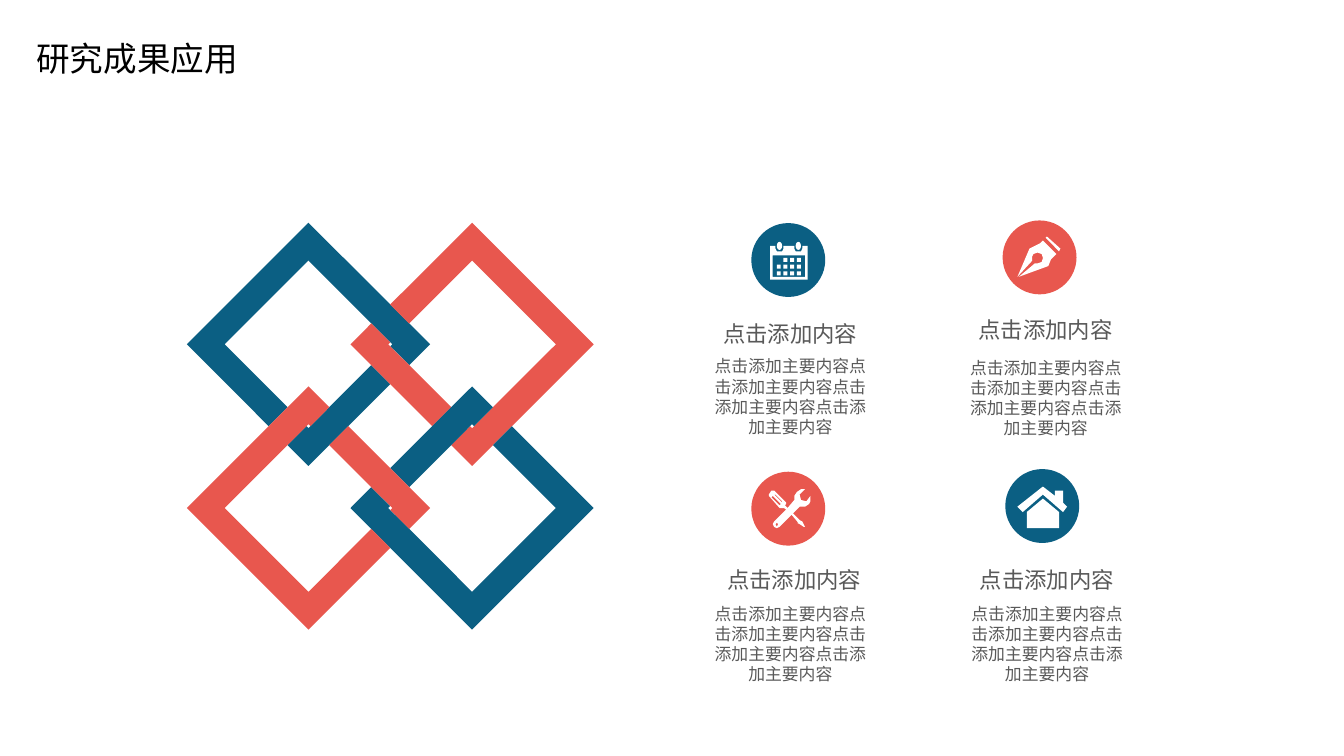
import pptx
import pptx.util
from lxml import etree
from pptx.dml.color import RGBColor
from pptx.enum.shapes import MSO_SHAPE
from pptx.enum.text import MSO_ANCHOR, MSO_AUTO_SIZE, PP_ALIGN
from pptx.oxml.ns import qn

PX = 9144  # EMU in one px, 100 px to the inch
FONT = "Noto Sans CJK SC"
BLUE, RED, WHITE, GREY, BLACK = "0B5F83", "E8574E", "FFFFFF", "595959", "000000"
HEADING = "点击添加内容"
BODY = "点击添加主要内容" * 4

# One ring around its own centre, in tenths of a px,
# cut where its neighbours pass over it
RING = [
    [(905, 0), (750, 155), (609, 15), (624, 0), (609, -15), (468, -155),
     (0, -624), (-624, 0), (-155, 468), (-296, 609), (-905, 0), (0, -905),
     (609, -296), (750, -155)],
    [(155, 468), (15, 609), (0, 624), (-15, 609), (-155, 750), (0, 905),
     (155, 750), (296, 609), (609, 296), (468, 155)],
]
CALENDAR = [
    [(573, 183), (577, 183), (577, 185), (578, 187), (580, 187), (582, 187),
     (583, 185), (583, 183), (591, 183), (591, 185), (592, 187), (594, 187),
     (596, 187), (597, 185), (597, 183), (601, 183), (601, 208), (573, 208)],
    [(575, 190), (575, 206), (599, 206), (599, 190)],
]
NIB = [
    [(782, 185), (776, 179), (774, 181), (770, 183), (766, 185), (757, 206),
     (768, 194), (768, 191), (769, 189), (772, 188), (775, 189), (776, 192),
     (775, 195), (772, 196), (770, 196), (758, 206), (780, 198), (782, 193),
     (784, 191), (786, 189)],
]
NIB_COLLAR = [[(779, 176), (789, 185), (788, 187), (778, 177)]]
TOOLS = [
    [(572, 368), (574, 365), (576, 365), (577, 366), (585, 374), (585, 375),
     (584, 376), (586, 378), (591, 372), (591, 369), (593, 366), (596, 364),
     (599, 364), (595, 368), (596, 372), (600, 373), (603, 369), (603, 373),
     (602, 375), (599, 377), (595, 377), (590, 382), (595, 387), (597, 388),
     (599, 392), (598, 392), (595, 390), (593, 389), (594, 389), (589, 383),
     (580, 392), (578, 393), (576, 392), (575, 390), (576, 388), (585, 379),
     (583, 378), (582, 378), (580, 378), (573, 370), (572, 369)],
    [(578, 389), (577, 390), (578, 392), (579, 390)],
    [(582, 374), (582, 373), (577, 368), (576, 368)],
    [(580, 376), (581, 375), (575, 369), (574, 370)],
]
HOUSE = [[(764, 381), (764, 393), (788, 393), (788, 381), (776, 371)]]
ROOF = [
    [(791, 374), (791, 365), (785, 365), (785, 369), (776, 362), (757, 377),
     (761, 381), (776, 368), (791, 381), (794, 377)],
]


def px(n):
    return pptx.util.Emu(n * PX)


def rgb(colour):
    return RGBColor.from_string(colour)


def paint(sp, colour):
    sp.shadow.inherit = False
    sp.fill.solid()
    sp.fill.fore_color.rgb = rgb(colour)
    sp.line.fill.background()


def add_preset(shapes, kind, x, y, w, h, colour):
    sp = shapes.add_shape(kind, px(x), px(y), px(w), px(h))
    paint(sp, colour)


def add_outline(shapes, contours, colour, scale=PX):
    """Draw closed contours as one shape; inner contours become holes."""
    first, *others = contours
    builder = shapes.build_freeform(*first[0], scale=scale)
    builder.add_line_segments(first[1:], close=True)
    for contour in others:
        builder.move_to(*contour[0])
        builder.add_line_segments(contour[1:], close=True)
    paint(builder.convert_to_shape(), colour)


def set_text(sp, text, size, colour, align):
    tf = sp.text_frame
    tf.text = text
    tf.auto_size = MSO_AUTO_SIZE.SHAPE_TO_FIT_TEXT
    tf.vertical_anchor = MSO_ANCHOR.TOP
    p = tf.paragraphs[0]
    p.alignment = align
    r = p.runs[0]
    r.font.size = pptx.util.Pt(size)
    r.font.color.rgb = rgb(colour)
    r.font.name = FONT
    etree.SubElement(r._r.get_or_add_rPr(), qn("a:ea"), typeface=FONT)


def add_title(s, text):
    sp = s.shapes.title
    sp.left, sp.top, sp.width, sp.height = px(17), px(23), px(172), px(40)
    set_text(sp, text, 18, BLACK, PP_ALIGN.LEFT)
    sp.text_frame.word_wrap = False


def add_label(s, text, x, y, w, h, size):
    sp = s.shapes.add_textbox(px(x), px(y), px(w), px(h))
    tf = sp.text_frame
    tf.word_wrap = True
    tf.margin_left = tf.margin_right = px(7)
    tf.margin_top = tf.margin_bottom = px(4)
    set_text(sp, text, size, GREY, PP_ALIGN.CENTER)


def add_rings(s):
    """Four linked rings, each a quarter turn on from the one before."""
    shapes = s.shapes.add_group_shape().shapes
    ring = RING
    centres = [(2295, 2562), (3513, 2562), (3513, 3780), (2295, 3780)]
    for (cx, cy), colour in zip(centres, [BLUE, RED] * 2):
        placed = [[(cx + x, cy + y) for x, y in contour] for contour in ring]
        add_outline(shapes, placed, colour, PX / 10)
        ring = [[(-y, x) for x, y in contour] for contour in ring]


def add_calendar(s):
    shapes = s.shapes.add_group_shape().shapes
    add_outline(shapes, CALENDAR, WHITE)
    for x in (578, 592):
        add_preset(shapes, MSO_SHAPE.OVAL, x, 180, 4, 6, WHITE)
    for row in range(3):
        for col in range(4):
            if (row, col) != (0, 0):
                add_preset(shapes, MSO_SHAPE.RECTANGLE,
                           578 + 5 * col, 192 + 5 * row, 3, 3, WHITE)


def add_icon(s, *outlines):
    shapes = s.shapes.add_group_shape().shapes
    for contours in outlines:
        add_outline(shapes, contours, WHITE)


def add_card(s, colour, disc, heading, body):
    add_preset(s.shapes, MSO_SHAPE.FLOWCHART_CONNECTOR, *disc, 55, 55, colour)
    add_label(s, HEADING, *heading, 28, 12)
    add_label(s, BODY, *body, 138, 68, 9)


def main():
    prs = pptx.Presentation()
    prs.slide_width = px(1000)
    prs.slide_height = prs.slide_width * 9 // 16
    s = prs.slides.add_slide(prs.slide_layouts[5])
    add_title(s, "研究成果应用")
    add_rings(s)
    add_card(s, BLUE, (559, 166), (519, 234, 138), (519, 261))
    add_card(s, RED, (746, 164), (709, 231, 138), (709, 262))
    add_card(s, RED, (559, 351), (525, 417, 132), (519, 445))
    add_card(s, BLUE, (748, 349), (710, 417, 138), (710, 445))
    add_calendar(s)
    add_icon(s, NIB, NIB_COLLAR)
    add_outline(s.shapes, TOOLS, WHITE)
    add_icon(s, HOUSE, ROOF)
    prs.save("out.pptx")


if __name__ == "__main__":
    main()
